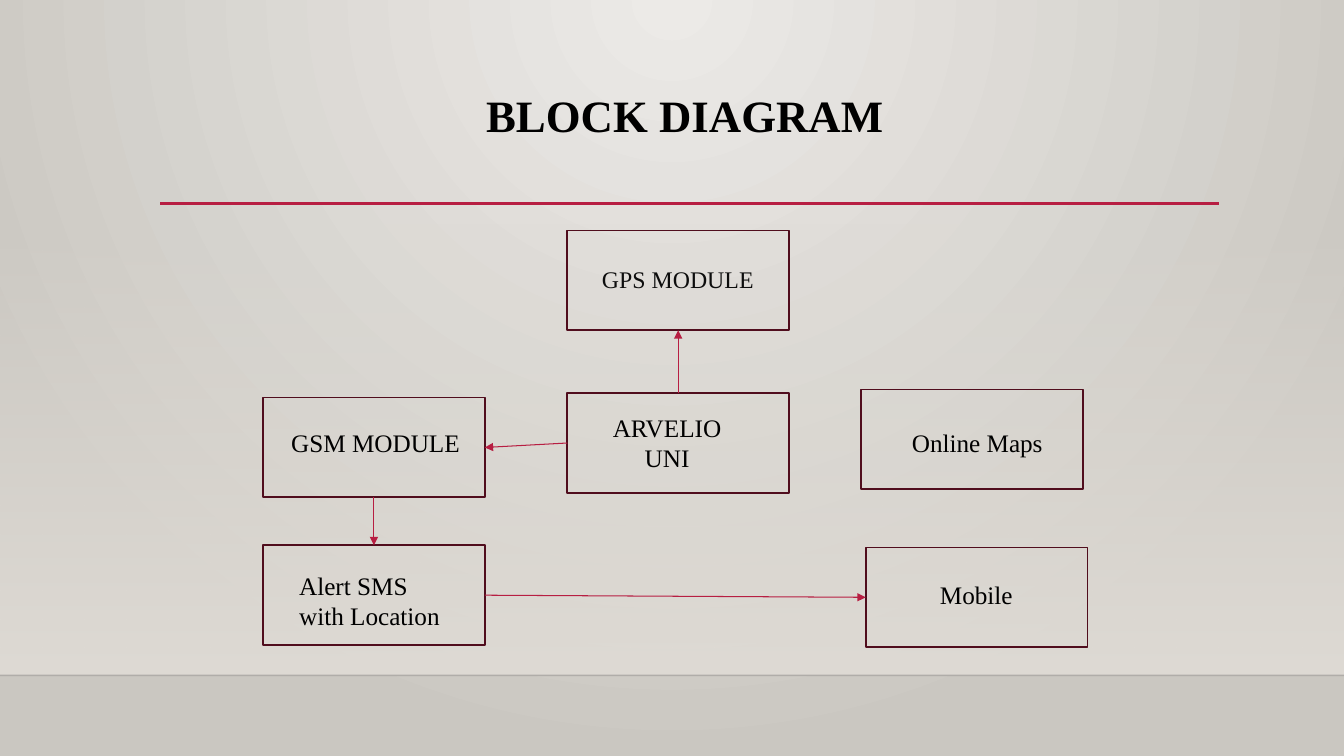
from lxml import etree
from pptx import Presentation
from pptx import util as u
from pptx.dml import color
from pptx.enum import shapes, text
from pptx.oxml import ns

BLACK = color.RGBColor(0x00, 0x00, 0x00)
SOFT_BLACK = color.RGBColor(0x0D, 0x0D, 0x0D)
FLOOR_EDGE = color.RGBColor(0x00, 0x00, 0x01)
CRIMSON = color.RGBColor(0xB7, 0x1E, 0x42)
MAROON = color.RGBColor(0x50, 0x0D, 0x1D)
WALL_LIGHT = color.RGBColor(0xEC, 0xEA, 0xE7)
WALL_DARK = color.RGBColor(0xCA, 0xC7, 0xC1)
BAND = color.RGBColor(0xDF, 0xDB, 0xD5)

TOP, LEFT, BOTTOM, RIGHT = range(4)  # connection sites of a rectangle


def add_child(parent, tag, **attributes):
    return etree.SubElement(parent, ns.qn(tag), attributes)


def set_alpha(element, percent):
    """Make the first RGB colour inside the element transparent."""
    rgb = element.find(".//" + ns.qn("a:srgbClr"))
    add_child(rgb, "a:alpha", val=str(percent * 1000))


class DiagramSlide:
    font = "Times New Roman"
    box_width, box_height = 158.4, 71.3

    def __init__(self, presentation):
        self.slide = presentation.slides.add_slide(presentation.slide_layouts[5])

    def gradient(self, fill, first, last):
        fill.gradient()
        for stop, rgb, position in zip(fill.gradient_stops, (first, last), (0, 1)):
            stop.color.rgb = rgb
            stop.position = position

    def background(self):
        self.gradient(self.slide.background.fill, WALL_LIGHT, WALL_DARK)
        gradient = self.slide.element.find(".//" + ns.qn("a:gradFill"))
        gradient.remove(gradient.find(ns.qn("a:lin")))
        circle = add_child(gradient, "a:path", path="circle")
        add_child(circle, "a:fillToRect", l="43000", t="0", r="43000", b="100000")

    def rectangle(self, left, top, width, height):
        shape = self.slide.shapes.add_shape(
            shapes.MSO_SHAPE.RECTANGLE, u.Pt(left), u.Pt(top), u.Pt(width), u.Pt(height))
        shape.shadow.inherit = False
        return shape

    def band(self, left, top, width, height):
        shape = self.rectangle(left, top, width, height)
        self.gradient(shape.fill, BAND, BAND)
        shape.fill.gradient_angle = 270
        set_alpha(shape.element, 0)
        shape.line.fill.background()

    def box(self, left, top):
        shape = self.rectangle(left, top, self.box_width, self.box_height)
        shape.fill.background()
        shape.line.color.rgb = MAROON
        shape.line.width = u.Pt(1.25)
        return shape

    def line(self, start, end, rgb, width):
        connector = self.slide.shapes.add_connector(
            shapes.MSO_CONNECTOR.STRAIGHT, *(u.Pt(value) for value in start + end))
        connector.line.color.rgb = rgb
        connector.line.width = u.Pt(width)
        add_child(connector.element.spPr, "a:effectLst")
        return connector

    def arrow(self, source, source_site, target, target_site):
        connector = self.line((0, 0), (0, 0), CRIMSON, 0.75)
        connector.begin_connect(source, source_site)
        connector.end_connect(target, target_site)
        add_child(connector.line._get_or_add_ln(), "a:tailEnd", type="triangle")

    def run(self, paragraph, words, size, rgb=BLACK, bold=False):
        run = paragraph.add_run()
        run.text = words
        run.font.name = self.font
        run.font.size = u.Pt(size)
        run.font.bold = bold
        run.font.color.rgb = rgb

    def title(self, words, left, top, width, height, indent):
        title = self.slide.shapes.title
        title.left, title.top = u.Pt(left), u.Pt(top)
        title.width, title.height = u.Pt(width), u.Pt(height)
        frame = title.text_frame
        frame.margin_left = u.Pt(indent)
        frame.vertical_anchor = text.MSO_ANCHOR.TOP
        paragraph = frame.paragraphs[0]
        paragraph.alignment = text.PP_ALIGN.LEFT
        paragraph.line_spacing = 0.9
        self.run(paragraph, words, 32, bold=True)

    def label(self, lines, left, top, width, height,
              alignment=text.PP_ALIGN.CENTER, size=18, rgb=BLACK):
        frame = self.slide.shapes.add_textbox(
            u.Pt(left), u.Pt(top), u.Pt(width), u.Pt(height)).text_frame
        frame.word_wrap = True
        paragraph = frame.paragraphs[0]
        paragraph.alignment = alignment
        for number, words in enumerate(lines):
            if number:
                paragraph.add_line_break()
            self.run(paragraph, words, size, rgb)


def main():
    presentation = Presentation()
    presentation.slide_width, presentation.slide_height = u.Pt(960), u.Pt(540)
    diagram = DiagramSlide(presentation)

    # Backdrop: wall, floor edge and title rule
    diagram.background()
    diagram.band(0, 159, 960, 323.4)
    edge = diagram.line((0, 482.4), (960, 482.4), FLOOR_EDGE, 1)
    set_alpha(edge.element, 20)
    diagram.line((114.4, 145.4), (871, 145.4), CRIMSON, 2.5)

    diagram.title("BLOCK DIAGRAM", 164.2, 63.4, 756, 83.5, indent=183)

    # Blocks
    gps = diagram.box(405.2, 164.6)
    controller = diagram.box(405.2, 280.8)
    gsm = diagram.box(187.9, 284)
    alert = diagram.box(187.9, 389.5)
    mobile = diagram.box(618.4, 391)
    diagram.box(615, 278.2)

    # Flow
    diagram.arrow(controller, TOP, gps, BOTTOM)
    diagram.arrow(controller, LEFT, gsm, RIGHT)
    diagram.arrow(gsm, BOTTOM, alert, TOP)
    diagram.arrow(alert, RIGHT, mobile, LEFT)

    # Labels
    left = text.PP_ALIGN.LEFT
    diagram.label(["GPS MODULE"], 398.2, 185.8, 172, 28, size=17, rgb=SOFT_BLACK)
    diagram.label(["ARVELIO", "UNI"], 417, 290.9, 119, 50.9)
    diagram.label(["GSM MODULE"], 200.9, 301.7, 146, 29, left)
    diagram.label(["Alert SMS", "with Location"], 206.6, 403.9, 121, 50.9, left)
    diagram.label(["Mobile"], 625, 410.4, 144.7, 29)
    diagram.label(["Online Maps"], 625.7, 301.7, 144.7, 29)

    presentation.save("out.pptx")


if __name__ == "__main__":
    main()
